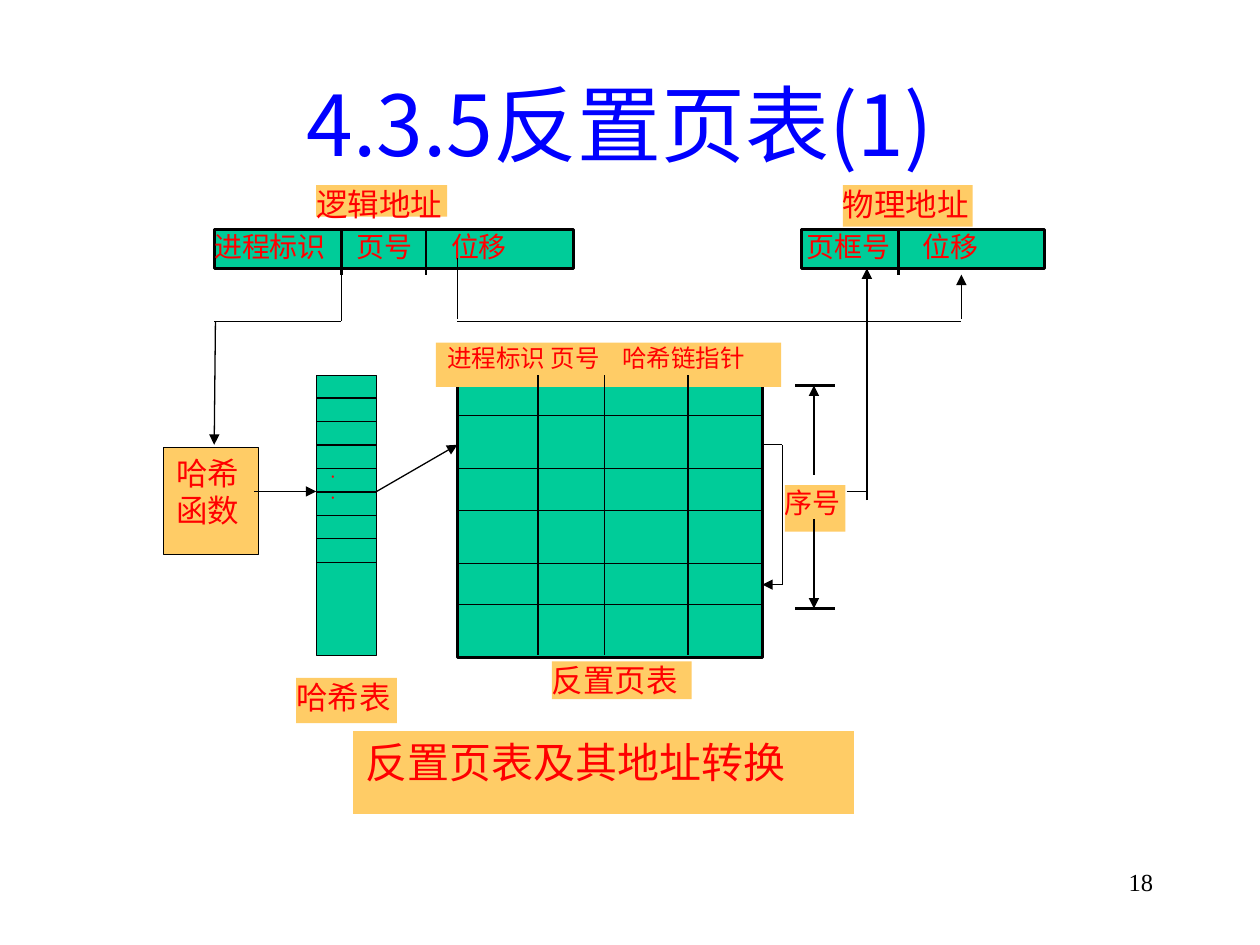
from lxml import etree
from pptx import Presentation
from pptx import util as u
from pptx.dml.color import RGBColor
from pptx.enum import shapes, text
from pptx.oxml import ns

GREEN = RGBColor(0x00, 0xCC, 0x99)
ORANGE = RGBColor(0xFF, 0xCC, 0x66)
RED = RGBColor(0xFF, 0x00, 0x00)
BLUE = RGBColor(0x00, 0x00, 0xFF)
BLACK = RGBColor(0x00, 0x00, 0x00)
WHITE = RGBColor(0xFF, 0xFF, 0xFF)
CJK = "Noto Sans CJK JP"
ROMAN = "Times New Roman"
PADDED = (0.1, 0.05, 0.1, 0.05)
FLUSH = (0, 0, 0, 0)


def write_text(frame, lines, size=18, color=RED, font=CJK, align=text.PP_ALIGN.LEFT,
               insets=FLUSH, anchor=text.MSO_ANCHOR.TOP, wrap=True, tabs=(), spacing=None):
    """Fill a text frame with one paragraph per line."""
    frame.word_wrap = wrap
    frame.auto_size = text.MSO_AUTO_SIZE.NONE
    frame.vertical_anchor = anchor
    (frame.margin_left, frame.margin_top,
     frame.margin_right, frame.margin_bottom) = map(u.Inches, insets)
    for index, line in enumerate(lines):
        para = frame.paragraphs[0] if index == 0 else frame.add_paragraph()
        para.alignment = align
        para.space_before = u.Pt(0)
        if spacing:
            para.line_spacing = u.Pt(spacing)
        if tabs:
            stops = etree.SubElement(para._p.get_or_add_pPr(), ns.qn("a:tabLst"))
            for stop in tabs:
                etree.SubElement(stops, ns.qn("a:tab"), pos=str(u.Inches(stop)), algn="l")
        span = para.add_run()
        span.text = line
        span.font.size = u.Pt(size)
        span.font.name = font
        span.font.color.rgb = color
        etree.SubElement(span.font._element, ns.qn("a:ea"), typeface=font)


class Diagram:
    """Holds the current slide and the line style."""

    def __init__(self, slide, thin=0.75, thick=1.5):
        self.slide = slide
        self.thin = thin
        self.thick = thick

    def title(self, line, place, **style):
        holder = self.slide.shapes.title
        holder.left, holder.top, holder.width, holder.height = map(u.Inches, place)
        write_text(holder.text_frame, [line], **style)

    def label(self, line, place, **style):
        box = self.slide.shapes.add_textbox(*map(u.Inches, place))
        write_text(box.text_frame, [line], **style)

    def box(self, place, fill, lines=(), border=None, width=None, **style):
        box = self.slide.shapes.add_shape(shapes.MSO_SHAPE.RECTANGLE, *map(u.Inches, place))
        box.shadow.inherit = False
        box.fill.solid()
        box.fill.fore_color.rgb = fill
        if border is None:
            box.line.fill.background()
        else:
            box.line.color.rgb = border
            box.line.width = u.Pt(width or self.thin)
        if lines:
            write_text(box.text_frame, lines, **style)

    def line(self, x1, y1, x2, y2, width=None, arrow=False):
        line = self.slide.shapes.add_connector(
            shapes.MSO_CONNECTOR.STRAIGHT, *map(u.Inches, (x1, y1, x2, y2)))
        line.line.color.rgb = BLACK
        line.line.width = u.Pt(width or self.thin)
        if arrow:
            etree.SubElement(line.line._get_or_add_ln(), ns.qn("a:tailEnd"), type="triangle")
        etree.SubElement(line._element.spPr, ns.qn("a:effectLst"))

    def arrow(self, x1, y1, x2, y2):
        self.line(x1, y1, x2, y2, arrow=True)


def main():
    deck = Presentation()
    deck.slide_width, deck.slide_height = u.Inches(10), u.Inches(7.5)
    page = Diagram(deck.slides.add_slide(deck.slide_layouts[5]))
    thick = page.thick

    # Title, raised above the middle of its box
    page.title("4.3.5反置页表(1)", (0.67, 0.75, 8.5, 1.25), size=48, color=BLUE,
               align=text.PP_ALIGN.CENTER, anchor=text.MSO_ANCHOR.MIDDLE,
               insets=(0.1, 0.05, 0.1, 0.85))

    # Logical and physical addresses
    page.box((6.36, 1.82, 1.93, 0.31), GREEN, ["页框号\t位移"], BLACK, thick,
             size=16, insets=(0.04, 0, 0, 0), tabs=[0.92])
    page.box((1.7, 1.82, 2.85, 0.31), GREEN, ["进程标识\t页号\t位移"], BLACK, thick,
             size=16, tabs=[1.13, 1.88])
    for x in (2.71, 3.38, 7.13):
        page.line(x, 1.82, x, 2.18, thick)

    # Inverted page table
    page.box((3.63, 3.02, 2.42, 2.2), GREEN, border=BLACK, width=thick)
    page.box((3.46, 2.72, 2.74, 0.35), ORANGE, ["进程标识\t页号\t哈希链指针"],
             size=14, insets=(0.09, 0, 0, 0), tabs=[0.82, 1.39])
    for x in (4.27, 4.8, 5.46):
        page.line(x, 2.98, x, 5.2)
    for y in (3.3, 3.72, 4.05, 4.47, 4.8):
        page.line(3.63, y, 6.05, y)

    # Hash table
    page.box((2.51, 2.98, 0.48, 2.22), GREEN, ["·", "·"], BLACK,
             size=10, insets=(0.1, 0.72, 0.1, 0.05), spacing=12)
    for row in range(8):
        y = 3.16 + row * 0.186
        page.line(2.51, y, 2.99, y)

    # Hash function
    page.box((1.3, 3.55, 0.75, 0.85), ORANGE, ["哈希", "函数"], BLACK, insets=PADDED)

    # Captions
    for caption, place, size in (
            ("逻辑地址", (2.51, 1.47, 1.04, 0.25), 18),
            ("物理地址", (6.69, 1.47, 1.03, 0.33), 18),
            ("哈希表", (2.35, 5.38, 0.8, 0.36), 18),
            ("反置页表", (4.38, 5.25, 1.11, 0.3), 18),
            ("序号", (6.23, 3.85, 0.48, 0.37), 16)):
        page.box(place, ORANGE, [caption], size=size, wrap=False)
    page.box((2.8, 5.8, 3.98, 0.67), ORANGE, ["反置页表及其地址转换"], WHITE,
             size=24, insets=PADDED)

    # Process and page number to the hash function, then to the tables
    page.line(2.71, 2.18, 2.71, 2.55)
    page.line(1.7, 2.55, 2.71, 2.55)
    page.arrow(1.71, 2.55, 1.7, 3.53)
    page.arrow(2.02, 3.9, 2.51, 3.9)
    page.arrow(2.99, 3.9, 3.63, 3.53)

    # Hash chain between two entries
    page.line(6.05, 3.53, 6.21, 3.53)
    page.line(6.21, 3.53, 6.21, 4.64)
    page.arrow(6.21, 4.64, 6.05, 4.64)

    # Entry index span, leading to the frame number
    for y in (3.06, 4.83):
        page.line(6.31, y, 6.63, y, thick)
    page.arrow(6.46, 3.77, 6.46, 3.06)
    page.arrow(6.46, 4.12, 6.46, 4.83)
    page.line(6.72, 3.9, 6.88, 3.9)
    page.arrow(6.88, 3.97, 6.88, 2.13)

    # Offset carried over unchanged
    page.line(3.63, 2.05, 3.63, 2.53)
    page.line(3.63, 2.55, 7.63, 2.55)
    page.arrow(7.63, 2.53, 7.63, 2.18)

    # Page number
    page.label("18", (7.17, 6.83, 2.08, 0.5), size=14, color=BLACK, font=ROMAN,
               align=text.PP_ALIGN.RIGHT, insets=PADDED)

    deck.save("out.pptx")


if __name__ == "__main__":
    main()
